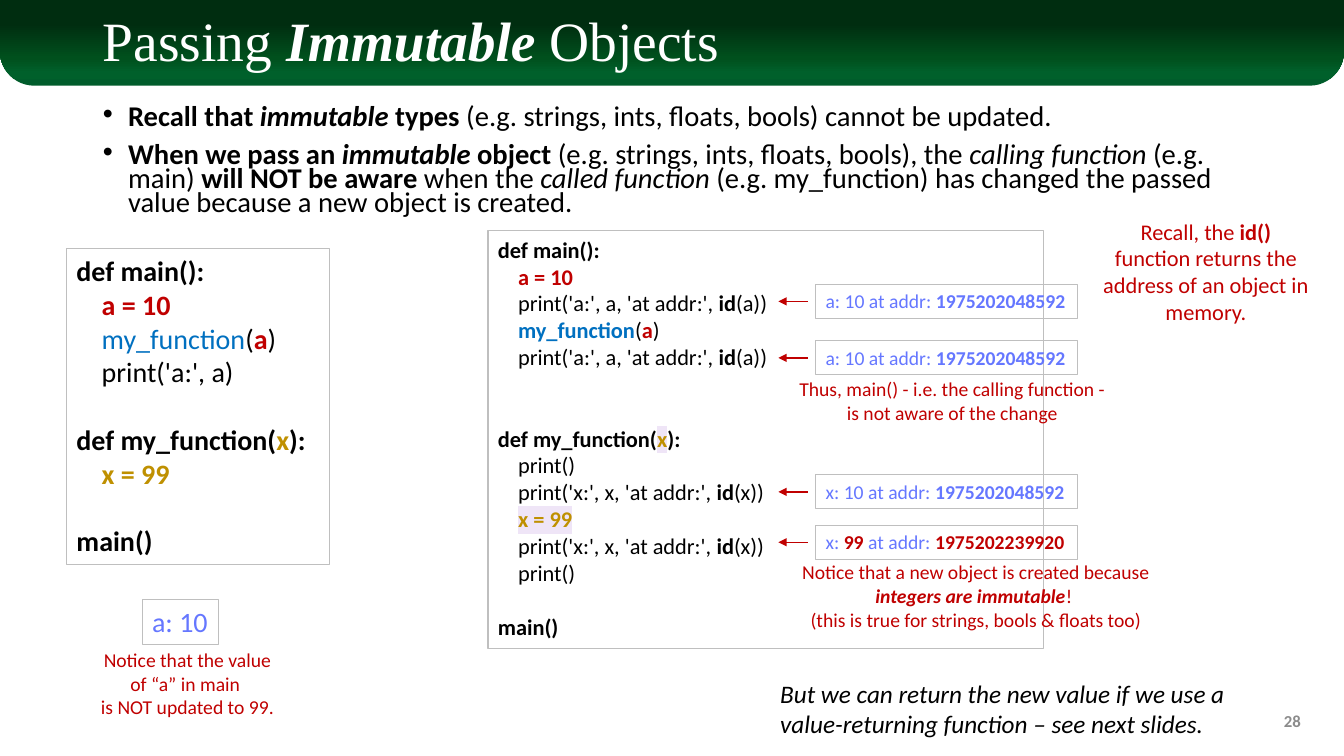
from dataclasses import dataclass

from lxml.etree import SubElement
from pptx import Presentation
from pptx.dml.color import RGBColor
from pptx.enum.shapes import MSO_CONNECTOR, MSO_SHAPE
from pptx.enum.text import MSO_ANCHOR, MSO_AUTO_SIZE, PP_ALIGN
from pptx.oxml import parse_xml
from pptx.oxml.ns import nsdecls, qn
from pptx.util import Inches, Pt


@dataclass(frozen=True)
class Theme:
    heading_font: str = "Times New Roman"
    body_font: str = "Calibri"
    black: str = "000000"
    white: str = "FFFFFF"
    red: str = "C00000"
    blue: str = "0070C0"
    gold: str = "BF9000"
    output: str = "6577FF"
    highlight: str = "EFE5F7"
    border: str = "BFBFBF"
    muted: str = "8C8C8C"
    banner: tuple = ((0, "005C2B"), (15, "00602B"), (32, "00501D"), (72, "002D10"))
    title_size: float = 39.6
    list_size: float = 20.4
    code_size: float = 20
    detail_size: float = 16
    note_size: float = 14
    closing_size: float = 18
    number_size: float = 12
    line_height: float = 1.22


T = Theme()
BOLD = dict(bold=True)
ITALIC = dict(italic=True)
BOLD_ITALIC = dict(bold=True, italic=True)
RED = dict(bold=True, color=T.red)
GOLD = dict(bold=True, color=T.gold)
MARKED = dict(GOLD, highlight=T.highlight)


def add_run(p, text, size=T.note_size, color=T.black, font=T.body_font,
            bold=False, italic=False, highlight=None):
    r = p.add_run()
    r.text = text
    f = r.font
    f.size, f.bold, f.italic = Pt(size), bold, italic
    f.color.rgb = RGBColor.from_string(color)
    f.name = font
    if highlight:
        r._r.rPr.find(qn("a:solidFill")).addnext(parse_xml(
            f'<a:highlight {nsdecls("a")}><a:srgbClr val="{highlight}"/></a:highlight>'))


def add_runs(p, runs, **base):
    for run in runs:
        text, fmt = (run, {}) if isinstance(run, str) else run
        add_run(p, text, **{**base, **fmt})


def set_indent(p, left, first=0):
    pPr = p._p.get_or_add_pPr()
    pPr.set("marL", str(Inches(left)))
    pPr.set("indent", str(Inches(first)))


class SlideBuilder:
    def __init__(self, prs, theme):
        self.theme = theme
        self.slide = prs.slides.add_slide(prs.slide_layouts[1])

    def banner(self, width, height):
        sp = self.slide.shapes.add_shape(
            MSO_SHAPE.ROUND_2_SAME_RECTANGLE, 0, 0, Inches(width), Inches(height))
        sp.adjustments[0], sp.adjustments[1] = 0, 0.4
        sp.shadow.inherit = False
        sp.line.fill.background()
        stops = "".join(f'<a:gs pos="{pos * 1000}"><a:srgbClr val="{color}"/></a:gs>'
                        for pos, color in self.theme.banner)
        sp._element.spPr.find(qn("a:prstGeom")).addnext(parse_xml(
            f'<a:gradFill {nsdecls("a")}><a:gsLst>{stops}</a:gsLst>'
            '<a:lin ang="16200000" scaled="0"/></a:gradFill>'))
        self.slide.shapes._spTree.insert(2, sp._element)

    def place(self, sp, left, top, width, height):
        sp.left, sp.top = Inches(left), Inches(top)
        sp.width, sp.height = Inches(width), Inches(height)
        sp.text_frame.auto_size = MSO_AUTO_SIZE.NONE
        return sp.text_frame

    def title(self, runs, *box):
        tf = self.place(self.slide.shapes.title, *box)
        tf.vertical_anchor = MSO_ANCHOR.MIDDLE
        p = tf.paragraphs[0]
        p.alignment, p.line_spacing = PP_ALIGN.LEFT, 0.9
        add_runs(p, runs, size=self.theme.title_size,
                 color=self.theme.white, font=self.theme.heading_font)

    def bullets(self, items, *box):
        tf = self.place(self.slide.placeholders[1], *box)
        for i, runs in enumerate(items):
            p = tf.add_paragraph() if i else tf.paragraphs[0]
            p.line_spacing, p.space_before = 0.7, Pt(10)
            set_indent(p, 0.25, -0.25)
            add_runs(p, runs, size=self.theme.list_size)

    def text(self, lines, left, top, width, height, align=PP_ALIGN.LEFT,
             border=False, wrap=True, anchor=MSO_ANCHOR.TOP, **base):
        sp = self.slide.shapes.add_textbox(
            Inches(left), Inches(top), Inches(width), Inches(height))
        if border:
            sp.line.color.rgb = RGBColor.from_string(self.theme.border)
            sp.line.width = Pt(0.75)
        tf = sp.text_frame
        tf.word_wrap, tf.vertical_anchor = wrap, anchor
        tf.auto_size = MSO_AUTO_SIZE.SHAPE_TO_FIT_TEXT
        for i, runs in enumerate(lines):
            p = tf.add_paragraph() if i else tf.paragraphs[0]
            p.alignment = align
            add_runs(p, runs, **base)
        return tf

    def code(self, lines, *box, size):
        tf = self.text([runs for _, _, runs in lines], *box, border=True, size=size)
        for p, (level, blank_lines, _) in zip(tf.paragraphs, lines):
            set_indent(p, level * size / 80)
            p.space_before = Pt(blank_lines * size * self.theme.line_height)

    def note(self, lines, *box, size=T.note_size):
        self.text(lines, *box, align=PP_ALIGN.CENTER, size=size, color=self.theme.red)

    def output(self, runs, *box, size=T.note_size):
        self.text([runs], *box, border=True, wrap=False,
                  size=size, color=self.theme.output)

    def arrow(self, start, end, y):
        cx = self.slide.shapes.add_connector(
            MSO_CONNECTOR.STRAIGHT, Inches(start), Inches(y), Inches(end), Inches(y))
        cx.line.color.rgb = RGBColor.from_string(self.theme.red)
        cx.line.width = Pt(1)
        SubElement(cx.line._get_or_add_ln(), qn("a:tailEnd"), type="triangle")
        SubElement(cx._element.spPr, qn("a:effectLst"))


def main():
    prs = Presentation()
    prs.slide_width, prs.slide_height = Inches(13.33), Inches(7.5)
    s = SlideBuilder(prs, T)

    s.banner(13.33, 0.85)
    s.title(["Passing ", ("Immutable", BOLD_ITALIC), " Objects"], 0.92, 0.13, 11.5, 0.61)
    s.bullets([
        [("Recall that ", BOLD), ("immutable", BOLD_ITALIC), (" types ", BOLD),
         "(e.g. strings, ints, floats, bools) cannot be updated."],
        [("When we pass an ", BOLD), ("immutable", BOLD_ITALIC), (" object ", BOLD),
         "(e.g. strings, ints, floats, bools), the ", ("calling function ", ITALIC),
         "(e.g. main) ", ("will NOT be aware ", BOLD), "when the ",
         ("called function", ITALIC),
         " (e.g. my_function) has changed the passed value because a new object is created."],
    ], 0.92, 1.01, 11.5, 1.29)
    s.text([["28"]], 10, 6.95, 3, 0.4, align=PP_ALIGN.RIGHT, anchor=MSO_ANCHOR.MIDDLE,
           size=T.number_size, color=T.muted, bold=True)

    s.code([
        (0, 0, [("def main():", BOLD)]),
        (1, 0, [("a = 10", RED)]),
        (1, 0, [("my_function", dict(color=T.blue)), "(", ("a", RED), ")"]),
        (1, 0, ["print('a:', a)"]),
        (0, 1, [("def my_function(", BOLD), ("x", GOLD), ("):", BOLD)]),
        (1, 0, [("x = 99", GOLD)]),
        (0, 1, [("main()", BOLD)]),
    ], 0.66, 2.47, 2.61, 3.13, size=T.code_size)

    print_a, print_x = (
        (1, 0, [f"print('{v}:', {v}, 'at addr:', ", ("id", BOLD), f"({v}))"]) for v in "ax")
    print_blank = (1, 0, ["print()"])
    s.code([
        (0, 0, [("def main():", BOLD)]),
        (1, 0, [("a = 10", RED)]),
        print_a,
        (1, 0, [("my_function", dict(bold=True, color=T.blue)), "(", ("a", RED), ")"]),
        print_a,
        (0, 2, [("def my_function(", BOLD), ("x", MARKED), ("):", BOLD)]),
        print_blank,
        print_x,
        (1, 0, [("x = 99", MARKED)]),
        print_x,
        print_blank,
        (0, 1, [("main()", BOLD)]),
    ], 4.84, 2.29, 5.51, 4.14, size=T.detail_size)

    address = ("1975202048592", BOLD)
    for top, runs in [
        (2.82, ["a: 10 at addr: ", address]),
        (3.38, ["a: 10 at addr: ", address]),
        (4.71, ["x: 10 at addr: ", address]),
        (5.21, ["x: ", ("99", RED), " at addr: ", ("1975202239920", RED)]),
    ]:
        s.output(runs, 8.09, top, 2.6, 0.34)
        s.arrow(8.01, 7.72, top + 0.17)
    s.output(["a: 10"], 1.41, 5.95, 0.76, 0.44, size=T.code_size)

    s.note([["Recall, the ", ("id() ", BOLD),
             "function returns the address of an object in memory."]],
           10.84, 2.11, 2.24, 1.18, size=T.detail_size)
    s.note([["Thus, main() - i.e. the calling function -"], ["is not aware of the change"]],
           7.79, 3.69, 3.31, 0.57)
    s.note([["Notice that a new object is created because ",
             ("integers are immutable", BOLD_ITALIC), "! "],
            ["(this is true for strings, bools & floats too)"]], 7.76, 5.51, 3.84, 0.81)
    s.note([["Notice that the value of “a” in main "], ["is NOT updated to 99."]],
           0.88, 6.38, 1.96, 0.81)
    s.text([["But we can return the new value if we use a value-returning function"
             " – see next slides."]], 7.64, 6.68, 4.81, 0.71,
           size=T.closing_size, italic=True)

    prs.save("out.pptx")


if __name__ == "__main__":
    main()
